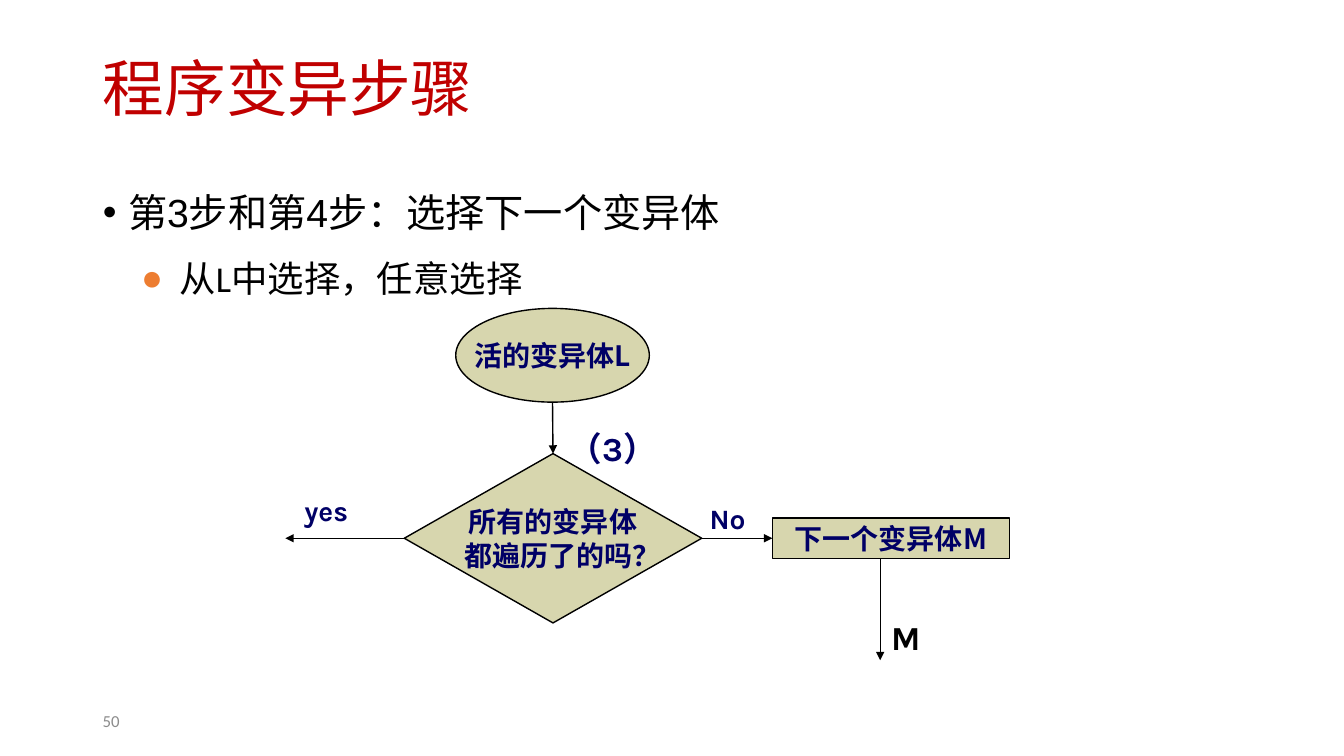
import pptx
import pptx.util
import pptx.dml.color
import pptx.enum.shapes
import pptx.enum.text
import pptx.oxml
import pptx.oxml.ns
from lxml import etree

Inches = pptx.util.Inches
Pt = pptx.util.Pt
RGBColor = pptx.dml.color.RGBColor
Shape = pptx.enum.shapes.MSO_SHAPE
Align = pptx.enum.text.PP_ALIGN
Anchor = pptx.enum.text.MSO_ANCHOR
qn = pptx.oxml.ns.qn

RED = RGBColor(0xC0, 0x00, 0x00)
BLACK = RGBColor(0x00, 0x00, 0x00)
GRAY = RGBColor(0x8C, 0x8C, 0x8C)
NAVY = RGBColor(0x00, 0x00, 0x66)
SAND = RGBColor(0xD7, 0xD6, 0xAE)
ORANGE = RGBColor(0xED, 0x7D, 0x31)
CJK_FONT = "Noto Sans CJK JP"


def place(shape, left, top, width, height):
    shape.left, shape.top = Inches(left), Inches(top)
    shape.width, shape.height = Inches(width), Inches(height)


def format_runs(para, font, size, color, bold=False):
    for span in para.runs:
        span.font.name = font
        span.font.size = Pt(size)
        span.font.bold = bold
        span.font.color.rgb = color
        east_asian = etree.SubElement(span.font._element, qn("a:ea"))
        east_asian.set("typeface", CJK_FONT)


def set_bullet(para, char, color, margin, hanging):
    props = para._element.get_or_add_pPr()
    props.set("marL", str(Inches(margin)))
    props.set("indent", str(-Inches(hanging)))
    bullet_color = etree.SubElement(props, qn("a:buClr"))
    etree.SubElement(bullet_color, qn("a:srgbClr")).set("val", str(color))
    etree.SubElement(props, qn("a:buFont")).set("typeface", "Arial")
    etree.SubElement(props, qn("a:buChar")).set("char", char)


def fill_title(page, text):
    title = page.shapes.title
    place(title, 0.92, 0.4, 11.5, 1.02)
    title.text_frame.text = text
    title.text_frame.auto_size = pptx.enum.text.MSO_AUTO_SIZE.NONE
    title.text_frame.vertical_anchor = Anchor.MIDDLE
    para = title.text_frame.paragraphs[0]
    para.alignment = Align.LEFT
    para.line_spacing = 0.9
    format_runs(para, "Calibri", 44, RED)


def fill_body(page):
    body = page.placeholders[1]
    place(body, 0.92, 1.68, 11.5, 5.07)
    frame = body.text_frame
    frame.text = "第3步和第4步：选择下一个变异体\n从L中选择，任意选择"
    frame.auto_size = pptx.enum.text.MSO_AUTO_SIZE.NONE
    step, choice = frame.paragraphs
    choice.level = 1
    set_bullet(step, "•", BLACK, 0.25, 0.25)
    set_bullet(choice, "●", ORANGE, 0.76, 0.38)
    for para, before in ((step, 0), (choice, 5.2)):
        para.line_spacing = 1.3
        para.space_before = Pt(before)
    format_runs(step, "Arial", 28, BLACK)
    format_runs(choice, "Calibri", 26, BLACK)


def add_node(page, kind, left, top, width, height, text):
    node = page.shapes.add_shape(kind, Inches(left), Inches(top), Inches(width), Inches(height))
    node.shadow.inherit = False
    node.fill.solid()
    node.fill.fore_color.rgb = SAND
    node.line.color.rgb = BLACK
    node.line.width = Pt(1)
    frame = node.text_frame
    frame.text = text
    frame.word_wrap = False
    frame.vertical_anchor = Anchor.MIDDLE
    for para in frame.paragraphs:
        para.alignment = Align.CENTER
        format_runs(para, CJK_FONT, 20, NAVY, True)
    return node


def add_label(page, left, top, width, height, text, size, color, font="Karla", bold=True):
    box = page.shapes.add_textbox(Inches(left), Inches(top), Inches(width), Inches(height))
    box.text_frame.word_wrap = True
    box.text_frame.text = text
    format_runs(box.text_frame.paragraphs[0], font, size, color, bold)
    return box


def add_arrow(page, start, end):
    arrow = page.shapes.add_connector(
        pptx.enum.shapes.MSO_CONNECTOR.STRAIGHT, *map(Inches, start + end))
    arrow.line.color.rgb = BLACK
    arrow.line.width = Pt(1)
    etree.SubElement(arrow.line._get_or_add_ln(), qn("a:tailEnd")).set("type", "triangle")
    etree.SubElement(arrow._element.spPr, qn("a:effectLst"))
    return arrow


def add_flowchart(page):
    # Nodes
    add_node(page, Shape.OVAL, 4.52, 3.06, 1.92, 0.93, "活的变异体L")
    following = add_node(page, Shape.FLOWCHART_PROCESS, 7.66, 5.14, 2.35, 0.4, "下一个变异体M")
    decision = add_node(page, Shape.FLOWCHART_DECISION, 4.01, 4.5, 2.95, 1.68,
                        "所有的变异体\n都遍历了的吗？")
    second_line = decision.text_frame.paragraphs[1]
    second_line._element.get_or_add_pPr().set("marL", str(Inches(0.19)))

    # Arrows
    down = add_arrow(page, (5.48, 3.99), (5.48, 4.5))
    down.end_connect(decision, 0)
    yes = add_arrow(page, (4.01, 5.34), (2.83, 5.34))
    yes.begin_connect(decision, 1)
    no = add_arrow(page, (6.96, 5.34), (7.66, 5.34))
    no.begin_connect(decision, 3)
    no.end_connect(following, 1)
    add_arrow(page, (8.73, 5.54), (8.73, 6.55))

    # Labels
    add_label(page, 5.54, 4.2, 1.4, 0.5, "（3）", 24, NAVY)
    add_label(page, 2.92, 4.85, 0.84, 0.44, "yes", 20, NAVY)
    add_label(page, 6.94, 4.93, 0.84, 0.44, "No", 20, NAVY)
    add_label(page, 8.74, 6.07, 0.72, 0.5, "M", 24, BLACK)


def main():
    deck = pptx.Presentation()
    deck.slide_width, deck.slide_height = Inches(13.33), Inches(7.5)
    page = deck.slides.add_slide(deck.slide_layouts[1])
    fill_title(page, "程序变异步骤")
    fill_body(page)
    add_flowchart(page)
    # Page number
    number = add_label(page, 0.92, 6.95, 3, 0.4, "50", 12, GRAY, "Calibri", False)
    number.text_frame.vertical_anchor = Anchor.MIDDLE
    deck.save("out.pptx")


if __name__ == "__main__":
    main()
